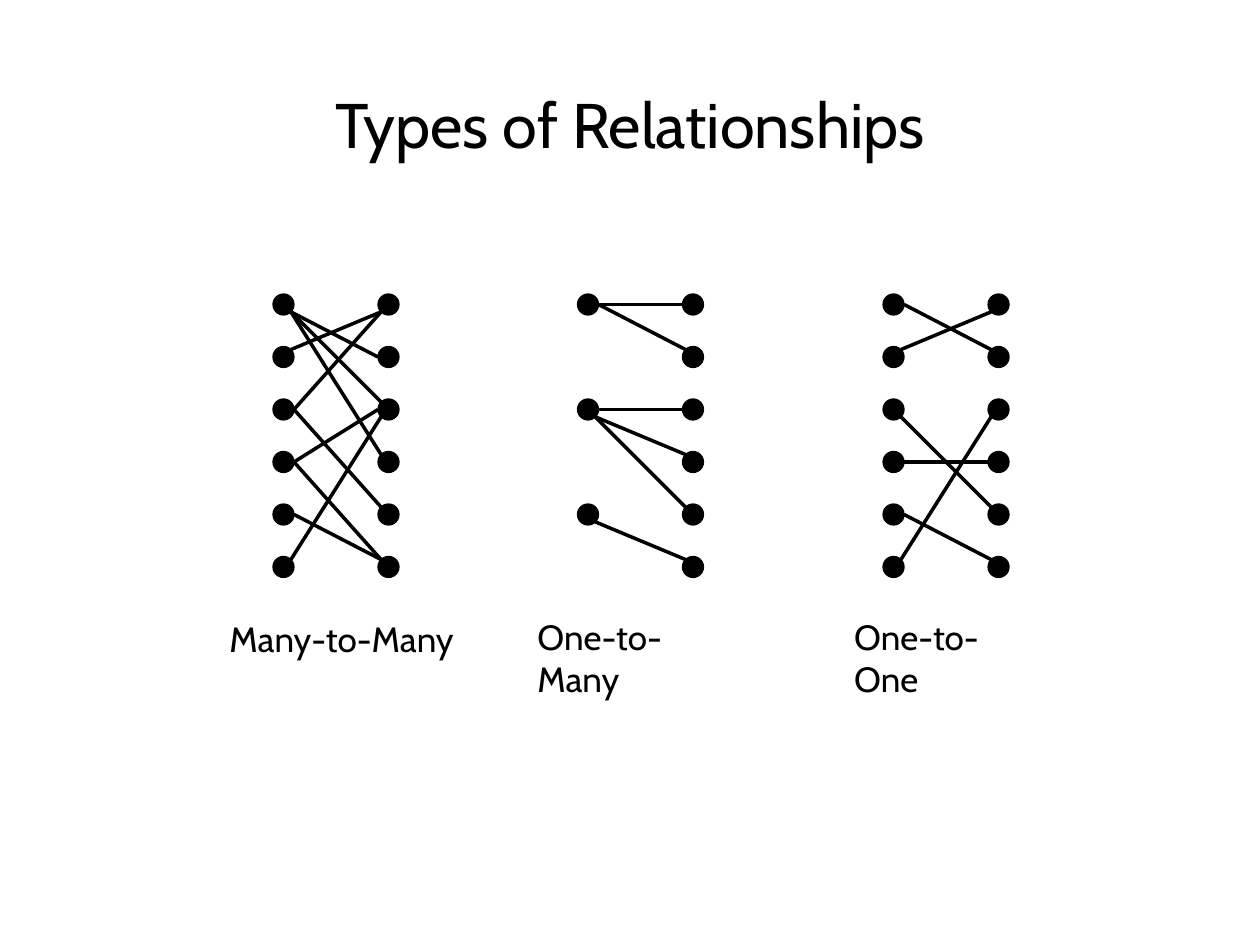
from lxml import etree
from pptx import Presentation
from pptx.dml.color import RGBColor
from pptx.enum import shapes, text
from pptx.oxml.ns import qn
from pptx.util import Pt

BLACK = "000000"
DOT = 12
ROW_STEP = 30
COLUMN_STEP = 60
FIRST_CENTER_Y = 174
RADIUS = DOT / 2
DIAGONAL = RADIUS * 0.707

# Points on a dot's edge, as offsets from its center
SITES = {
    "E": (RADIUS, 0), "W": (-RADIUS, 0),
    "NE": (DIAGONAL, -DIAGONAL), "NW": (-DIAGONAL, -DIAGONAL),
    "SE": (DIAGONAL, DIAGONAL), "SW": (-DIAGONAL, DIAGONAL),
}

# Each link: left row, left site, right row, right site
DIAGRAMS = [
    dict(center_x=162, left_rows=range(6),
         label=("Many-to-Many", 120.2, 349.2, 150, 31, "CENTER"),
         links=[(0, "SE", 2, "NW"), (0, "SE", 1, "W"), (0, "SE", 3, "NW"),
                (3, "E", 2, "W"), (5, "NE", 2, "SW"), (2, "E", 0, "SW"),
                (2, "E", 4, "NW"), (4, "E", 5, "NW"), (3, "E", 5, "NW"),
                (1, "NE", 0, "SW")]),
    dict(center_x=336, left_rows=(0, 2, 4),
         label=("One-to-Many", 300, 348, 124.5, 31, "LEFT"),
         links=[(0, "E", 0, "W"), (0, "E", 1, "NW"), (2, "E", 2, "W"),
                (2, "SE", 3, "NW"), (2, "SE", 4, "NW"), (4, "SE", 5, "NW")]),
    dict(center_x=510.6, left_rows=range(6),
         label=("One-to-One", 481, 348, 118, 31, "LEFT"),
         links=[(0, "E", 1, "NW"), (1, "NE", 0, "SW"), (4, "E", 5, "NW"),
                (3, "E", 3, "W"), (2, "SE", 4, "NW"), (5, "NE", 2, "SW")]),
]


def color(hex_value):
    return RGBColor.from_string(hex_value)


def add_text(slide, words, left, top, width, height, align, size=20, anchor="TOP"):
    box = slide.shapes.add_textbox(Pt(left), Pt(top), Pt(width), Pt(height))
    frame = box.text_frame
    frame.word_wrap = True
    frame.vertical_anchor = text.MSO_ANCHOR[anchor]
    paragraph = frame.paragraphs[0]
    paragraph.alignment = text.PP_ALIGN[align]
    run = paragraph.add_run()
    run.text = words
    for name, value in {"name": "Cabin", "size": Pt(size)}.items():
        setattr(run.font, name, value)
    run.font.color.rgb = color(BLACK)


def add_dot(slide, x, y):
    """Draw a dot centered on x, y."""
    shape = slide.shapes.add_shape(
        shapes.MSO_SHAPE.OVAL, Pt(x - RADIUS), Pt(y - RADIUS), Pt(DOT), Pt(DOT))
    shape.shadow.inherit = False
    shape.fill.solid()
    shape.fill.fore_color.rgb = color(BLACK)
    shape.line.color.rgb = color(BLACK)
    shape.line.width = Pt(0.75)


def add_link(slide, start, end):
    connector = slide.shapes.add_connector(
        shapes.MSO_CONNECTOR.STRAIGHT, *(Pt(value) for value in (*start, *end)))
    connector.line.color.rgb = color(BLACK)
    connector.line.width = Pt(2)
    etree.SubElement(connector._element.spPr, qn("a:effectLst"))


def row_y(row):
    return FIRST_CENTER_Y + row * ROW_STEP


def edge_point(x, row, site):
    dx, dy = SITES[site]
    return x + dx, row_y(row) + dy


def add_diagram(slide, center_x, left_rows, label, links):
    right_x = center_x + COLUMN_STEP
    add_text(slide, *label)
    for x, rows in ((center_x, left_rows), (right_x, range(6))):
        for row in rows:
            add_dot(slide, x, row_y(row))
    for left_row, left_site, right_row, right_site in links:
        add_link(slide, edge_point(center_x, left_row, left_site),
                 edge_point(right_x, right_row, right_site))


def main():
    presentation = Presentation()
    presentation.slide_width, presentation.slide_height = Pt(720), Pt(540)
    slide = presentation.slides.add_slide(presentation.slide_layouts[6])
    for diagram in DIAGRAMS:
        add_diagram(slide, **diagram)
    add_text(slide, "Types of Relationships", 0, 43.2, 720, 54, "CENTER",
             size=36, anchor="MIDDLE")
    presentation.save("out.pptx")


if __name__ == "__main__":
    main()
